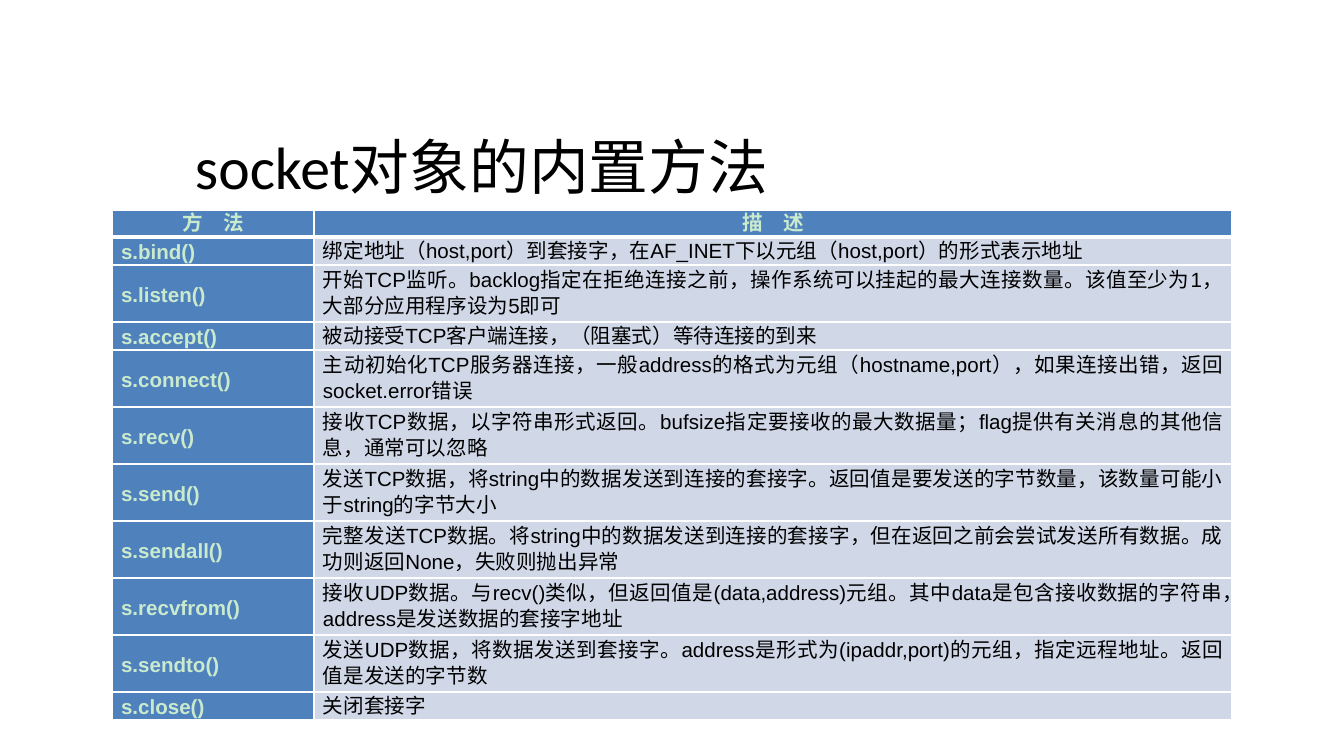
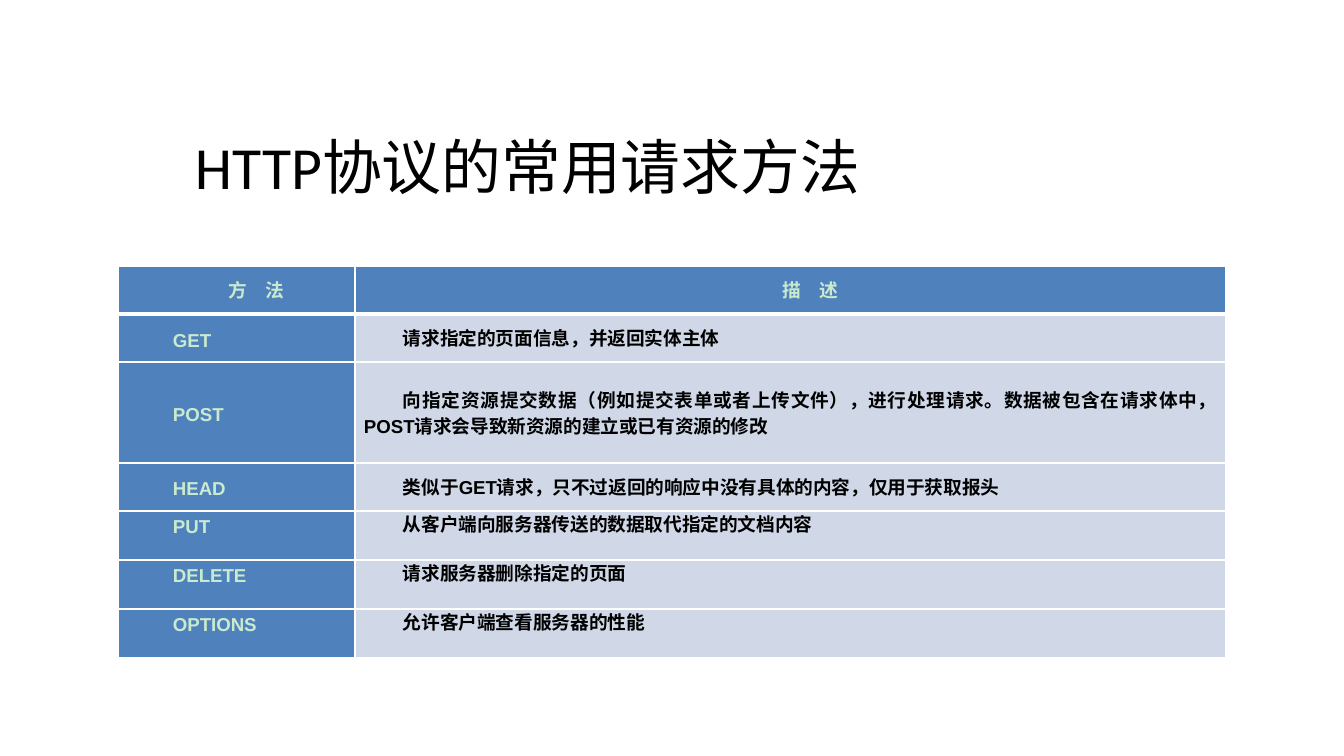
from lxml import etree
from pptx import Presentation
from pptx import util as u
from pptx.dml.color import RGBColor
from pptx.enum import text
from pptx.oxml import ns

SCALE = 9144000 / 1344
BLACK = RGBColor(0x00, 0x00, 0x00)
WHITE = RGBColor(0xFF, 0xFF, 0xFF)
PALE_GREEN = RGBColor(0xCA, 0xEA, 0xCE)
BLUE = RGBColor(0x4F, 0x81, 0xBD)
PALE_BLUE = RGBColor(0xD0, 0xD8, 0xE8)
TITLE_BOX = (168, 121, 817, 90)
CELL_MARGIN = 9
HEADER = ("方　法", "描　述")

SOCKET_METHODS = [
    ("s.bind()", "绑定地址（host,port）到套接字，在AF_INET下以元组（host,port）的形式表示地址"),
    ("s.listen()", "开始TCP监听。backlog指定在拒绝连接之前，操作系统可以挂起的最大连接数量。该值至少为1，大部分应用程序设为5即可"),
    ("s.accept()", "被动接受TCP客户端连接，（阻塞式）等待连接的到来"),
    ("s.connect()", "主动初始化TCP服务器连接，一般address的格式为元组（hostname,port），如果连接出错，返回socket.error错误"),
    ("s.recv()", "接收TCP数据，以字符串形式返回。bufsize指定要接收的最大数据量；flag提供有关消息的其他信息，通常可以忽略"),
    ("s.send()", "发送TCP数据，将string中的数据发送到连接的套接字。返回值是要发送的字节数量，该数量可能小于string的字节大小"),
    ("s.sendall()", "完整发送TCP数据。将string中的数据发送到连接的套接字，但在返回之前会尝试发送所有数据。成功则返回None，失败则抛出异常"),
    ("s.recvfrom()", "接收UDP数据。与recv()类似，但返回值是(data,address)元组。其中data是包含接收数据的字符串，address是发送数据的套接字地址"),
    ("s.sendto()", "发送UDP数据，将数据发送到套接字。address是形式为(ipaddr,port)的元组，指定远程地址。返回值是发送的字节数"),
    ("s.close()", "关闭套接字"),
]
HTTP_METHODS = [
    ("GET", "请求指定的页面信息，并返回实体主体"),
    ("POST", "向指定资源提交数据（例如提交表单或者上传文件），进行处理请求。数据被包含在请求体中，POST请求会导致新资源的建立或已有资源的修改"),
    ("HEAD", "类似于GET请求，只不过返回的响应中没有具体的内容，仅用于获取报头"),
    ("PUT", "从客户端向服务器传送的数据取代指定的文档内容"),
    ("DELETE", "请求服务器删除指定的页面"),
    ("OPTIONS", "允许客户端查看服务器的性能"),
]


def px(length):
    return u.Emu(round(length * SCALE))


def add_title(slide, box, wording):
    title = slide.shapes.title
    title.left, title.top, title.width, title.height = map(px, box)
    frame = title.text_frame
    frame.text = wording
    frame.auto_size = text.MSO_AUTO_SIZE.NONE
    frame.vertical_anchor = text.MSO_ANCHOR.MIDDLE
    paragraph = frame.paragraphs[0]
    paragraph.alignment = text.PP_ALIGN.LEFT
    paragraph.font.name = "Calibri"
    paragraph.font.size = u.Pt(32)
    paragraph.font.color.rgb = BLACK


def set_borders(cell, row):
    properties = cell._tc.get_or_add_tcPr()
    widths = {"lnL": 1, "lnR": 1, "lnT": 3 if row == 1 else 1, "lnB": 3 if row == 0 else 1}
    for side, width in widths.items():
        line = etree.SubElement(properties, ns.qn(f"a:{side}"), w=str(u.Pt(width)))
        fill = etree.SubElement(line, ns.qn("a:solidFill"))
        etree.SubElement(fill, ns.qn("a:srgbClr"), val=str(WHITE))


def format_cell(cell, wording, row, is_blue, size, bold, indent, anchor):
    set_borders(cell, row)
    cell.fill.solid()
    cell.fill.fore_color.rgb = BLUE if is_blue else PALE_BLUE
    cell.margin_left = cell.margin_right = px(CELL_MARGIN)
    cell.margin_top = cell.margin_bottom = 0
    cell.vertical_anchor = anchor
    cell.text = wording
    paragraph = cell.text_frame.paragraphs[0]
    paragraph.alignment = text.PP_ALIGN.CENTER if row == 0 else text.PP_ALIGN.JUSTIFY
    paragraph.line_spacing = u.Pt(14)
    properties = paragraph._p.get_or_add_pPr()
    properties.set("marL", "0")
    properties.set("indent", str(px(indent)))
    font = paragraph.font
    font.name = "Arial"
    font.size = u.Pt(size)
    font.bold = bold
    font.color.rgb = PALE_GREEN if is_blue else BLACK


def add_method_table(slide, origin, widths, heights, methods, size,
                     bold_body=False, indent=0, name_indent=0, middle_rows=None):
    box = (*origin, sum(widths), sum(heights))
    records = [HEADER, *methods]
    table = slide.shapes.add_table(len(records), len(widths), *map(px, box)).table
    table.horz_banding = False
    for column, width in zip(table.columns, widths):
        column.width = px(width)
    for row, (record, height) in enumerate(zip(records, heights)):
        table.rows[row].height = px(height)
        is_middle = middle_rows is None or row < middle_rows
        anchor = text.MSO_ANCHOR.MIDDLE if is_middle else text.MSO_ANCHOR.TOP
        for column, wording in enumerate(record):
            is_blue = row == 0 or column == 0
            cell_indent = name_indent if row > 0 and column == 0 else indent
            format_cell(table.cell(row, column), wording, row, is_blue, size,
                        is_blue or bold_body, cell_indent, anchor)


def add_method_slide(presentation, title, **table_options):
    slide = presentation.slides.add_slide(presentation.slide_layouts[5])
    add_title(slide, TITLE_BOX, title)
    add_method_table(slide, **table_options)


def main():
    presentation = Presentation()
    presentation.slide_width, presentation.slide_height = px(1344), px(756)
    add_method_slide(
        presentation, " socket对象的内置方法",
        origin=(112, 210), widths=(202, 918),
        heights=(27, 28, 57, 28, *[57] * 6, 28),
        methods=SOCKET_METHODS, size=11)
    add_method_slide(
        presentation, " HTTP协议的常用请求方法",
        origin=(118, 266), widths=(237, 871),
        heights=(48, 48, 101, 48, 49, 49, 49),
        methods=HTTP_METHODS, size=10, bold_body=True,
        indent=39, name_indent=46, middle_rows=4)
    presentation.save("out.pptx")


if __name__ == "__main__":
    main()
